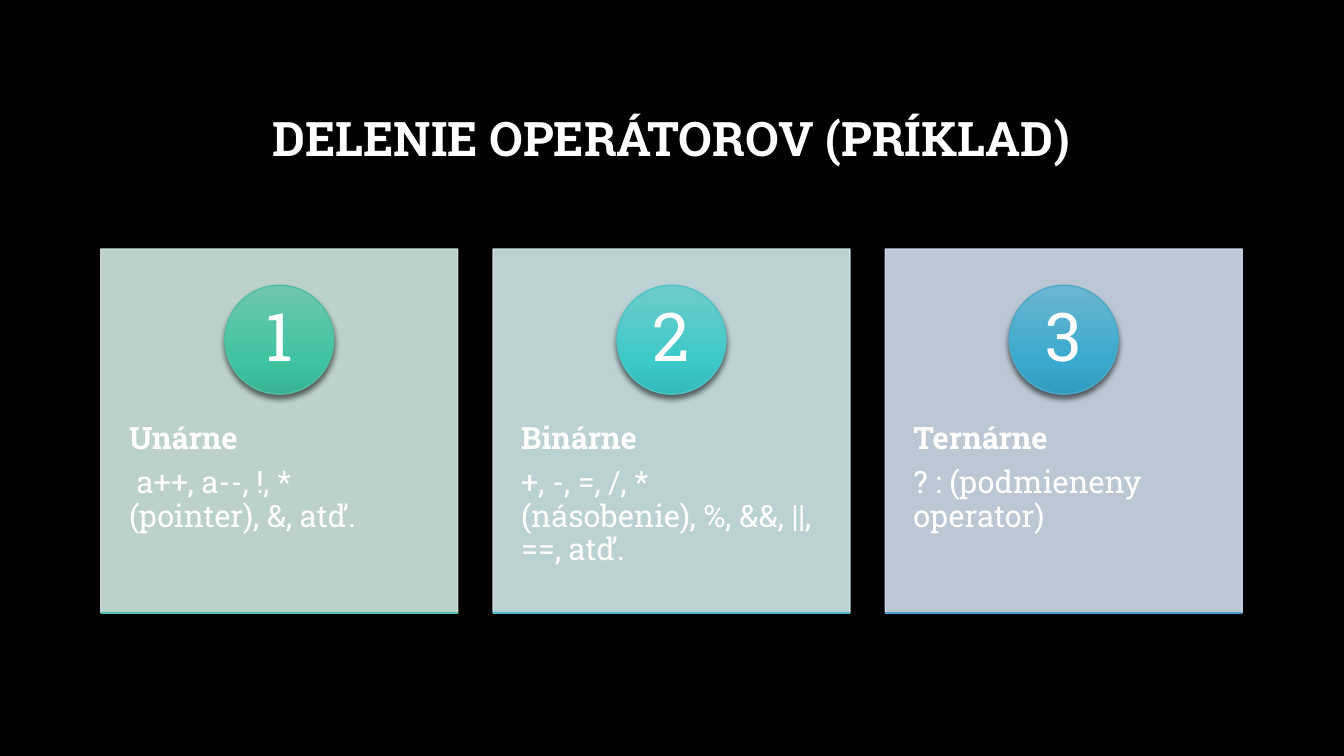
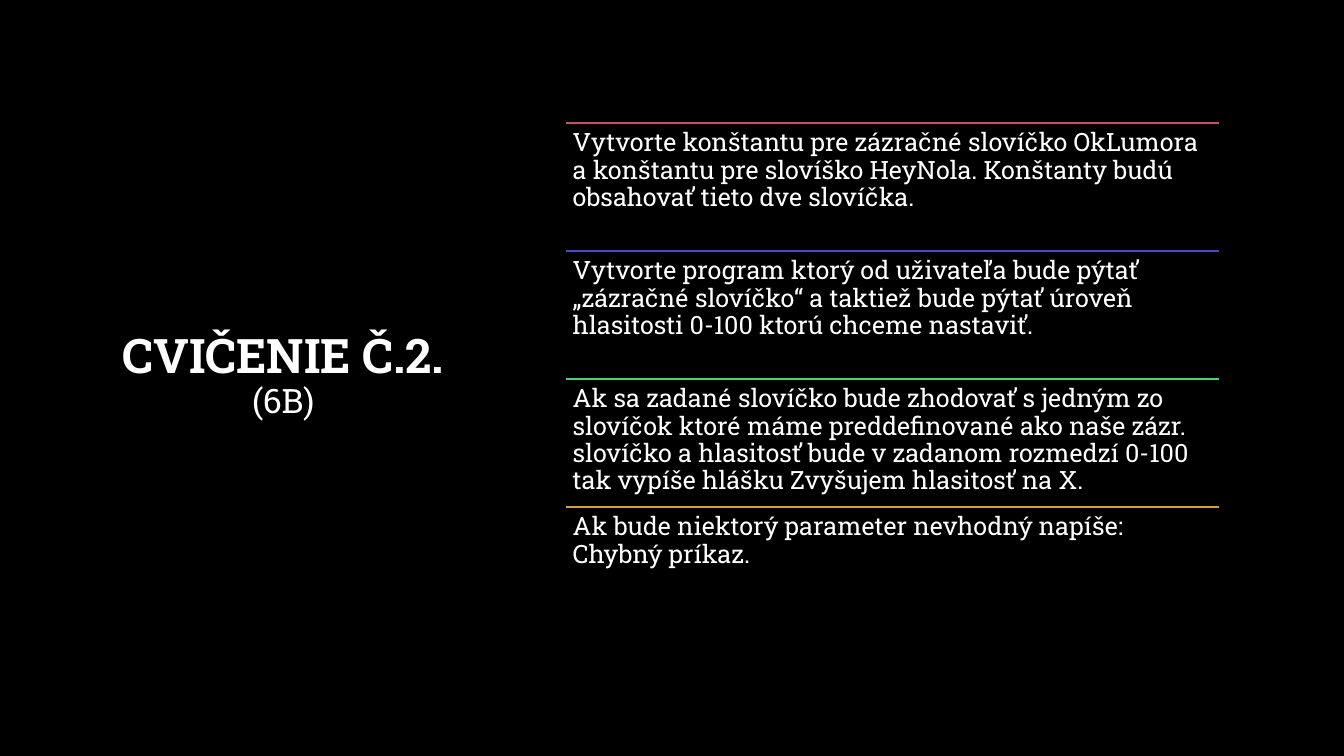
from copy import deepcopy

from lxml.etree import SubElement
from pptx import Presentation
from pptx.dml.color import RGBColor
from pptx.enum.shapes import MSO_CONNECTOR, MSO_SHAPE
from pptx.enum.text import MSO_ANCHOR, MSO_AUTO_SIZE, PP_ALIGN
from pptx.oxml.ns import qn
from pptx.util import Inches, Pt


def color(value):
    return RGBColor.from_string(value)


class SlideBuilder:
    font = "Roboto Slab"
    text_color = "FFFFFF"
    background = "000000"
    line_spacing = 0.9

    def __init__(self):
        self.deck = Presentation()
        self.deck.slide_width = Inches(13.33)
        self.deck.slide_height = Inches(7.5)
        fill = self.deck.slide_master.background.fill
        fill.solid()
        fill.fore_color.rgb = color(self.background)
        self.slide = None

    def new_slide(self):
        self.slide = self.deck.slides.add_slide(self.deck.slide_layouts[5])

    def style(self, para, size, bold=False, align=PP_ALIGN.LEFT, after=0):
        para.alignment = align
        para.line_spacing = self.line_spacing
        para.space_after = Pt(after)
        para.font.name = self.font
        para.font.size = Pt(size)
        para.font.bold = bold
        para.font.color.rgb = color(self.text_color)

    def title(self, text, left, top, width, height, subtitle=None):
        box = self.slide.shapes.title
        box.left, box.top = Inches(left), Inches(top)
        box.width, box.height = Inches(width), Inches(height)
        frame = box.text_frame
        frame.auto_size = MSO_AUTO_SIZE.NONE
        frame.vertical_anchor = MSO_ANCHOR.MIDDLE
        para = frame.paragraphs[0]
        self.style(para, 34, True, PP_ALIGN.CENTER)
        para.add_run().text = text
        if subtitle:
            para.add_line_break()
            span = para.add_run()
            span.text = subtitle
            span.font.size = Pt(24)
            span.font.bold = False

    def text(self, lines, left, top, width, height, size, inset_x, inset_y):
        box = self.slide.shapes.add_textbox(
            Inches(left), Inches(top), Inches(width), Inches(height))
        frame = box.text_frame
        frame.word_wrap = True
        frame.margin_left = frame.margin_right = Inches(inset_x)
        frame.margin_top = frame.margin_bottom = Inches(inset_y)
        for index, (line, bold) in enumerate(lines):
            para = frame.add_paragraph() if index else frame.paragraphs[0]
            para.text = line
            self.style(para, size, bold, after=size * 0.35)

    def shadow(self, shape):
        effects = SubElement(shape._element.spPr, qn("a:effectLst"))
        outer = SubElement(effects, qn("a:outerShdw"), blurRad=str(Pt(4)),
                           dist=str(Pt(3)), dir="5400000", rotWithShape="0")
        black = SubElement(outer, qn("a:srgbClr"), val="000000")
        SubElement(black, qn("a:alpha"), val="54000")

    def panel(self, left, top, width, height, fill_color):
        panel = self.slide.shapes.add_shape(
            MSO_SHAPE.RECTANGLE, Inches(left), Inches(top), Inches(width), Inches(height))
        panel.shadow.inherit = False
        panel.fill.solid()
        panel.fill.fore_color.rgb = color(fill_color)
        panel.line.color.rgb = color(fill_color)
        panel.line.width = Pt(1)
        for tone in panel._element.spPr.iter(qn("a:srgbClr")):
            SubElement(tone, qn("a:alpha"), val="90000")

    def badge(self, label, left, top, size, gradient, line_color):
        badge = self.slide.shapes.add_shape(
            MSO_SHAPE.OVAL, Inches(left), Inches(top), Inches(size), Inches(size))
        badge.fill.gradient()
        badge.fill.gradient_angle = 270
        stops = badge._element.spPr.find(".//" + qn("a:gsLst"))
        stops.append(deepcopy(stops[0]))
        for stop, tone, position in zip(badge.fill.gradient_stops, gradient, (0, 0.69, 1)):
            stop.color.rgb = color(tone)
            stop.position = position
        badge.line.color.rgb = color(line_color)
        badge.line.width = Pt(1)
        self.shadow(badge)
        frame = badge.text_frame
        frame.margin_left = frame.margin_right = Inches(0.08)
        frame.margin_top = frame.margin_bottom = Inches(0.01)
        frame.vertical_anchor = MSO_ANCHOR.MIDDLE
        para = frame.paragraphs[0]
        para.text = label
        self.style(para, 48, align=PP_ALIGN.CENTER, after=48 * 0.35)

    def rule(self, left, top, width, line_color):
        rule = self.slide.shapes.add_connector(
            MSO_CONNECTOR.STRAIGHT, Inches(left), Inches(top),
            Inches(left + width), Inches(top))
        rule.line.color.rgb = color(line_color)
        rule.line.width = Pt(1)
        self.shadow(rule)


def build_operators(builder):
    builder.new_slide()
    builder.title("DELENIE OPERÁTOROV (PRÍKLAD)", 1, 0.67, 11.32, 1.45)
    cards = [
        ("Unárne", " a++, a--, !, * (pointer), &, atď.", "D0E8E0",
         ("70C6AF", "3EC4A3", "37B395"), "50BEA3", "4FC1B3"),
        ("Binárne", "+, -, =, /, * (násobenie), %, &&, ||, ==, atď.", "D0E8EA",
         ("6FCBCB", "3CC9C9", "34B9B9"), "4EC4C4", "4CB7C6"),
        ("Ternárne", "? : (podmieneny operator)", "D0DEEC",
         ("6DB5D0", "39AACF", "319CBF"), "4BAAC9", "4A9CCC"),
    ]
    top, width, height, pitch, badge_size = 2.47, 3.54, 3.61, 3.89, 1.08
    for index, (name, examples, panel_color, gradient, ring, accent) in enumerate(cards):
        left = 1 + index * pitch
        builder.panel(left, top, width, height, panel_color)
        builder.text([(name, True), (examples, False)],
                     left, 3.84, width, 2.17, 22, 0.28, 0.36)
        builder.badge(str(index + 1), left + (width - badge_size) / 2, top + 0.36,
                      badge_size, gradient, ring)
        builder.rule(left, top + height, width, accent)


def build_exercise(builder):
    builder.new_slide()
    builder.title("CVIČENIE Č.2.", 0.82, 0.67, 3.98, 6.13, "(6B)")
    tasks = [
        ("C54F71", "Vytvorte konštantu pre zázračné slovíčko OkLumora a konštantu pre "
                   "slovíško HeyNola. Konštanty budú obsahovať tieto dve slovíčka."),
        ("4949CD", "Vytvorte program ktorý od uživateľa bude pýtať „zázračné slovíčko“ "
                   "a taktiež bude pýtať úroveň hlasitosti 0-100 ktorú chceme nastaviť."),
        ("42D66E", "Ak sa zadané slovíčko bude zhodovať s jedným zo slovíčok ktoré máme "
                   "preddefinované ako naše zázr. slovíčko a hlasitosť bude v zadanom "
                   "rozmedzí 0-100 tak vypíše hlášku Zvyšujem hlasitosť na X."),
        ("DE9C3C", "Ak bude niektorý parameter nevhodný napíše: Chybný príkaz."),
    ]
    left, width, pitch = 5.61, 6.48, 1.27
    for index, (line_color, task) in enumerate(tasks):
        top = 1.22 + index * pitch
        builder.rule(left, top, width, line_color)
        builder.text([(task, False)], left, top, width, pitch, 18, 0.07, 0.07)


def main():
    builder = SlideBuilder()
    build_operators(builder)
    build_exercise(builder)
    builder.deck.save("out.pptx")


if __name__ == "__main__":
    main()
